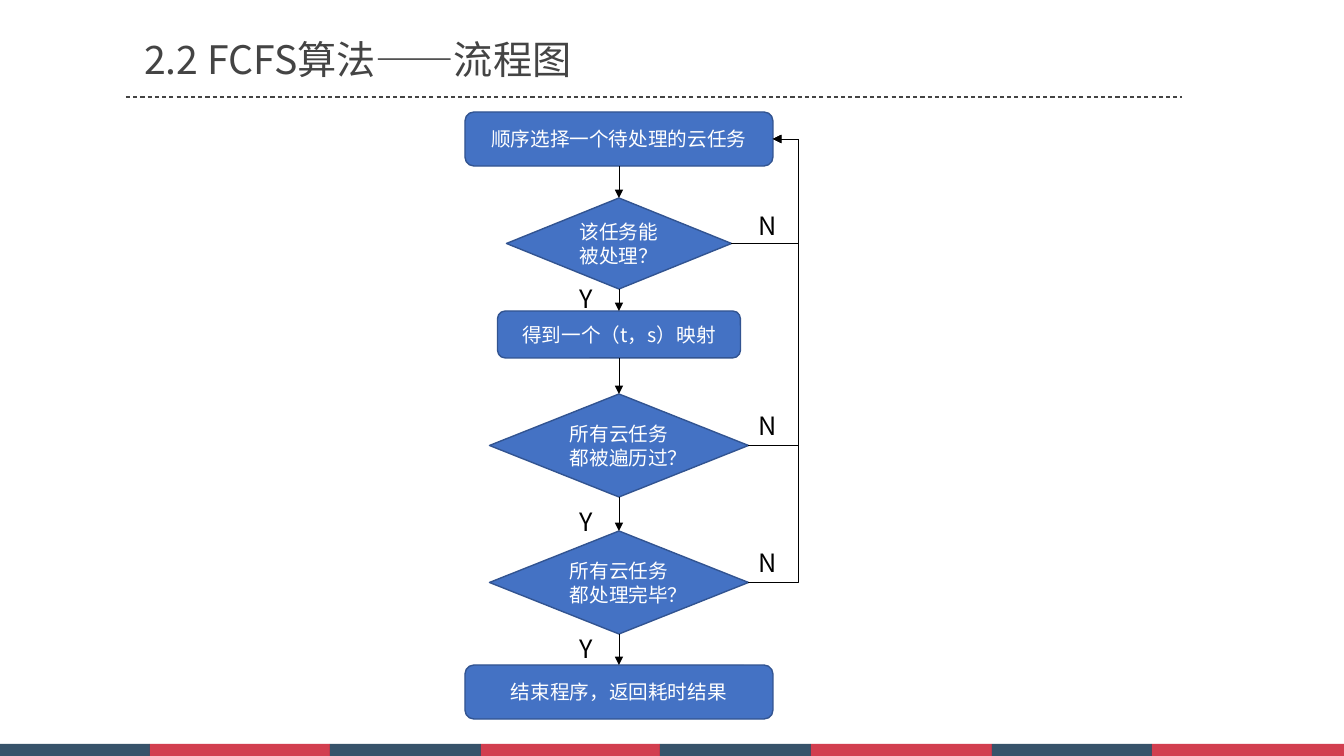
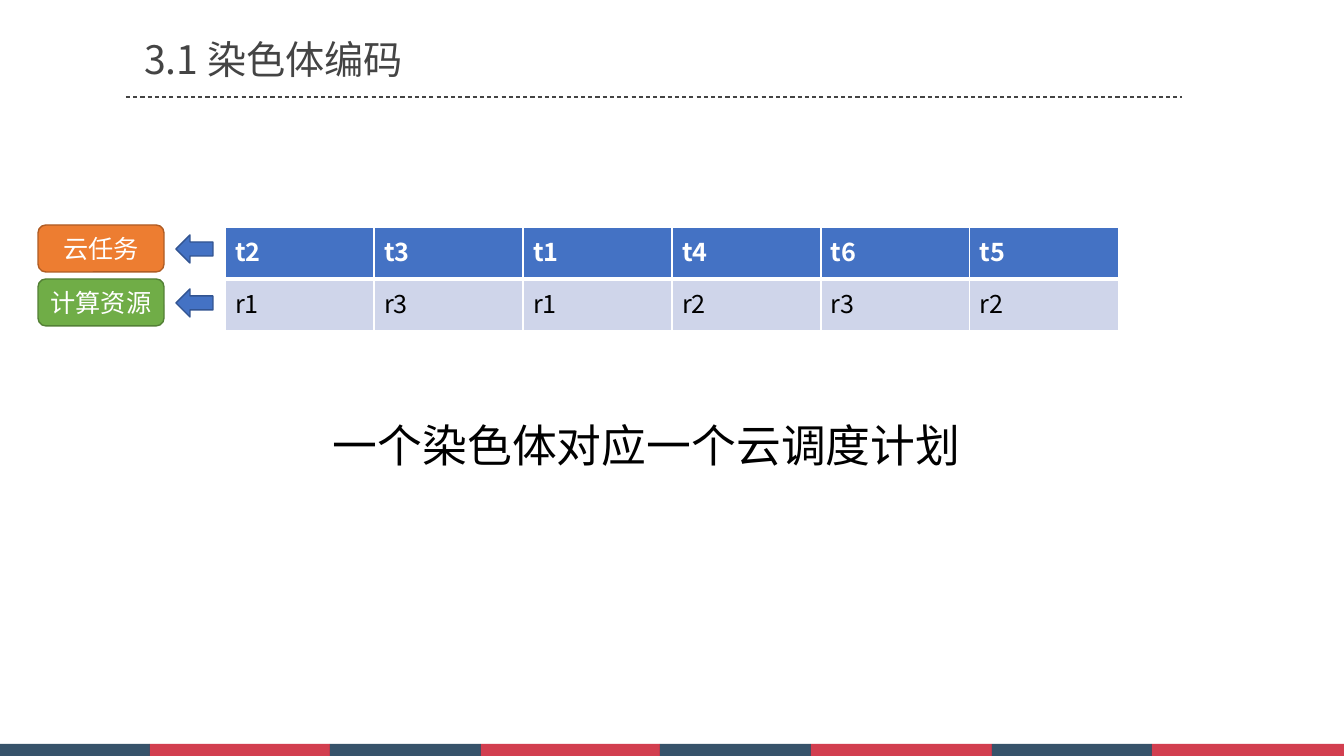
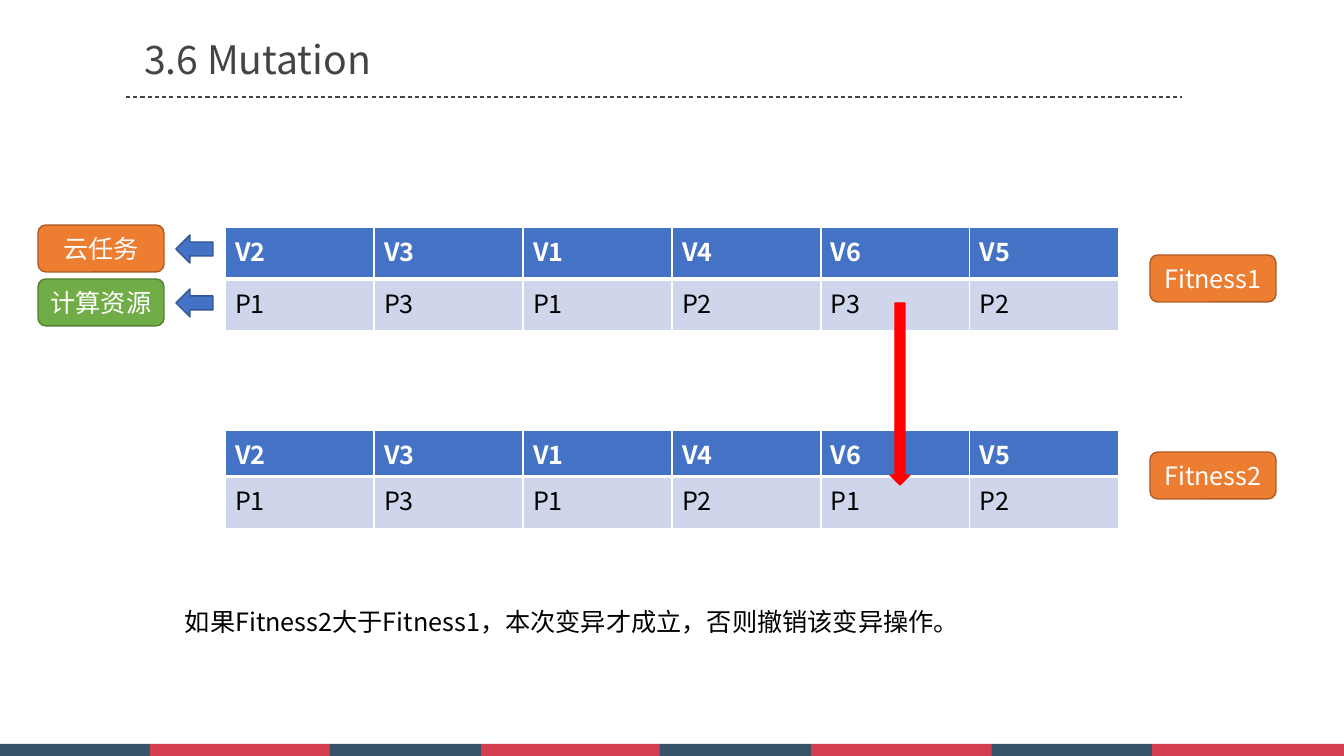
from dataclasses import dataclass
from typing import Any, NamedTuple, Optional

from lxml.etree import SubElement
from pptx import Presentation
from pptx.dml.color import RGBColor
from pptx.enum.dml import MSO_LINE_DASH_STYLE as Dash
from pptx.enum.shapes import MSO_CONNECTOR as Link, MSO_SHAPE as Preset
from pptx.enum.text import MSO_ANCHOR as Anchor, MSO_AUTO_SIZE as AutoSize, PP_ALIGN as Align
from pptx.oxml.ns import qn
from pptx.shapes.autoshape import Shape
from pptx.shapes.connector import Connector
from pptx.slide import Slide, SlideLayout
from pptx.table import _Cell as Cell
from pptx.text.text import TextFrame
from pptx.util import Emu, Pt

PX_PER_INCH = 100.8
TOP, LEFT, BOTTOM, RIGHT = range(4)


def px(length: int) -> Emu:
    return Emu(round(length * 914400 / PX_PER_INCH))


class Box(NamedTuple):
    left: int
    top: int
    width: int
    height: int

    def emu(self) -> list[Emu]:
        return [px(length) for length in self]


class Paint(NamedTuple):
    fill: str
    line: Optional[str] = None


class TextStyle(NamedTuple):
    size: int
    color: str
    bold: bool = False
    align: Align = Align.LEFT


@dataclass(frozen=True)
class Theme:
    font: str = "Noto Sans CJK SC"
    black: str = "000000"
    white: str = "FFFFFF"
    rule: str = "444444"
    row_fill: str = "CFD5EA"
    blue: Paint = Paint("4472C4", "325491")
    orange: Paint = Paint("ED7D31", "AF5C24")
    green: Paint = Paint("70AD47", "538035")
    red: Paint = Paint("FF0000", "FF0000")
    bands: tuple[Paint, Paint] = (Paint("062845"), Paint("C70E23"))
    band_opacity: int = 80
    title: TextStyle = TextStyle(28, "444444")
    statement: TextStyle = TextStyle(32, "000000")
    body: TextStyle = TextStyle(18, "000000")
    header: TextStyle = TextStyle(18, "FFFFFF", bold=True)
    pill: TextStyle = TextStyle(18, "FFFFFF", align=Align.CENTER)
    step: TextStyle = TextStyle(14, "FFFFFF", align=Align.CENTER)


THEME = Theme()

SLIDE_SIZE = (1344, 756)
BAND_EDGES = (0, 150, 330, 481, 660, 811, 992, 1152, 1344)
BAND_TOP = 744
TITLE_BOX = Box(144, 35, 540, 47)
RULE_X, RULE_Y = (126, 1182), 97

NO_MARGINS = {f"margin_{side}": 0 for side in ("left", "top", "right", "bottom")}
TITLE_FORMAT = {**NO_MARGINS, "word_wrap": True, "auto_size": AutoSize.NONE,
                "vertical_anchor": Anchor.TOP}
SHAPE_FORMAT = {"word_wrap": True, "vertical_anchor": Anchor.MIDDLE}


def set_format(target: Any, values: dict[str, Any]) -> None:
    for attribute, value in values.items():
        setattr(target, attribute, value)


def write_text(frame: TextFrame, text: str, style: TextStyle) -> None:
    paragraph = frame.paragraphs[0]
    paragraph.alignment = style.align
    run = paragraph.add_run()
    run.text = text
    set_format(run.font, {"name": THEME.font, "size": Pt(style.size), "bold": style.bold})
    run.font.color.rgb = RGBColor.from_string(style.color)
    SubElement(run._r.get_or_add_rPr(), qn("a:ea"), typeface=THEME.font)


def add_block(slide: Slide, preset: Preset, box: Box, paint: Paint) -> Shape:
    block = slide.shapes.add_shape(preset, *box.emu())
    block.shadow.inherit = False
    block.fill.solid()
    block.fill.fore_color.rgb = RGBColor.from_string(paint.fill)
    if paint.line:
        block.line.color.rgb = RGBColor.from_string(paint.line)
        block.line.width = Pt(1)
    else:
        block.line.fill.background()
    return block


def add_labelled(slide: Slide, preset: Preset, box: Box, paint: Paint,
                 text: str, style: TextStyle) -> Shape:
    block = add_block(slide, preset, box, paint)
    set_format(block.text_frame, SHAPE_FORMAT)
    write_text(block.text_frame, text, style)
    return block


def add_text(slide: Slide, box: Box, text: str, style: TextStyle) -> None:
    frame = slide.shapes.add_textbox(*box.emu()).text_frame
    frame.word_wrap = True
    write_text(frame, text, style)


def style_connector(line: Connector, color: str, width: float) -> None:
    line.line.color.rgb = RGBColor.from_string(color)
    line.line.width = Pt(width)
    SubElement(line.element.spPr, qn("a:effectLst"))


def join(slide: Slide, kind: Link, start: Shape, start_side: int,
         end: Shape, end_side: int) -> Connector:
    """Draw a thin arrow between the side midpoints of two shapes."""
    arrow = slide.shapes.add_connector(kind, 0, 0, 0, 0)
    arrow.begin_connect(start, start_side)
    arrow.end_connect(end, end_side)
    style_connector(arrow, THEME.black, 0.5)
    SubElement(arrow.get_or_add_ln(), qn("a:tailEnd"), type="triangle")
    return arrow


def route_over(elbow: Connector, rail: Emu) -> None:
    """Put the upright part of an elbow connector at the x position of the rail."""
    share = (rail - elbow.begin_x) / (elbow.end_x - elbow.begin_x)
    guides = next(elbow.element.iter(qn("a:avLst")))
    SubElement(guides, qn("a:gd"), name="adj1", fmla=f"val {round(share * 100000)}")


def add_shared_parts(slide: Slide, layout: SlideLayout) -> None:
    """Draw the bands and title rule once and hand them to the layout."""
    for placeholder in list(layout.placeholders)[1:]:
        placeholder.element.getparent().remove(placeholder.element)
    parts = []
    for i, (left, right) in enumerate(zip(BAND_EDGES, BAND_EDGES[1:])):
        box = Box(left, BAND_TOP, right - left, SLIDE_SIZE[1] - BAND_TOP)
        band = add_block(slide, Preset.RECTANGLE, box, THEME.bands[i % 2])
        tint = next(band.element.spPr.iter(qn("a:srgbClr")))
        SubElement(tint, qn("a:alpha"), val=str(THEME.band_opacity * 1000))
        parts.append(band)
    rule = slide.shapes.add_connector(Link.STRAIGHT, px(RULE_X[0]), px(RULE_Y),
                                      px(RULE_X[1]), px(RULE_Y))
    style_connector(rule, THEME.rule, 0.75)
    rule.line.dash_style = Dash.DASH
    for part in [*parts, rule]:
        layout.shapes.element.append(part.element)


def write_title(slide: Slide, text: str) -> None:
    title = slide.shapes.title
    set_format(title, dict(zip(("left", "top", "width", "height"), TITLE_BOX.emu())))
    set_format(title.text_frame, TITLE_FORMAT)
    write_text(title.text_frame, text, THEME.title)


# Flow chart

@dataclass(frozen=True)
class Step:
    text: str
    top: int
    width: int
    height: int
    no_top: Optional[int] = None
    yes_top: Optional[int] = None

    @property
    def is_decision(self) -> bool:
        return self.no_top is not None


FLOW_CENTER, RAIL_X = 619, 798
NO_LEFT, YES_LEFT = 749, 570
ANSWER_SIZE = (32, 40)
STEPS = (
    Step("顺序选择一个待处理的云任务", 112, 308, 54),
    Step("该任务能被处理？", 198, 225, 91, no_top=205, yes_top=278),
    Step("得到一个（t，s）映射", 311, 243, 47),
    Step("所有云任务都被遍历过？", 394, 259, 103, no_top=405, yes_top=501),
    Step("所有云任务都处理完毕？", 531, 259, 103, no_top=542, yes_top=628),
    Step("结束程序，返回耗时结果", 665, 308, 54),
)


def add_step(slide: Slide, step: Step) -> Shape:
    preset = Preset.DIAMOND if step.is_decision else Preset.ROUNDED_RECTANGLE
    box = Box(FLOW_CENTER - step.width // 2, step.top, step.width, step.height)
    block = add_labelled(slide, preset, box, THEME.blue, step.text, THEME.step)
    block.left = px(FLOW_CENTER) - block.width // 2
    return block


def draw_flow_chart(slide: Slide) -> None:
    blocks = [add_step(slide, step) for step in STEPS]
    for upper, lower in zip(blocks, blocks[1:]):
        join(slide, Link.STRAIGHT, upper, BOTTOM, lower, TOP)
    for step, block in zip(STEPS, blocks):
        if step.is_decision:
            back = join(slide, Link.ELBOW, block, RIGHT, blocks[0], RIGHT)
            route_over(back, px(RAIL_X))
            add_text(slide, Box(NO_LEFT, step.no_top, *ANSWER_SIZE), "N", THEME.body)
            add_text(slide, Box(YES_LEFT, step.yes_top, *ANSWER_SIZE), "Y", THEME.body)


# Chromosome tables

TABLE_LEFT, COLUMN_WIDTH, ROW_HEIGHT = 225, 149, 52
FIRST_TABLE_TOP, SECOND_TABLE_TOP, LOW_HEADER = 227, 430, 40
PILL_SIZE = (126, 47)
ROW_LABELS = (("云任务", 225, THEME.orange), ("计算资源", 279, THEME.green))
FITNESS_LABELS = (("Fitness1", 255), ("Fitness2", 452))


def set_borders(cell: Cell, widths: dict[str, int]) -> None:
    properties = cell._tc.get_or_add_tcPr()
    for position, (side, width) in enumerate(widths.items()):
        border = SubElement(properties, qn(f"a:ln{side}"), w=str(Pt(width)))
        paint = SubElement(border, qn("a:solidFill"))
        SubElement(paint, qn("a:srgbClr"), val=THEME.white)
        properties.insert(position, border)


def add_chromosome(slide: Slide, top: int, tasks: str, resources: str,
                   header_height: int = ROW_HEIGHT) -> None:
    rows = (
        (tasks.split(), header_height, THEME.blue.fill, THEME.header,
         {"L": 1, "R": 1, "T": 1, "B": 3}),
        (resources.split(), ROW_HEIGHT, THEME.row_fill, THEME.body,
         {"L": 1, "R": 1, "T": 3, "B": 1}),
    )
    count = len(rows[0][0])
    box = Box(TABLE_LEFT, top, COLUMN_WIDTH * count, header_height + ROW_HEIGHT)
    table = slide.shapes.add_table(len(rows), count, *box.emu()).table
    for column in table.columns:
        column.width = px(COLUMN_WIDTH)
    for r, (genes, height, fill, style, borders) in enumerate(rows):
        table.rows[r].height = px(height)
        for c, gene in enumerate(genes):
            cell = table.cell(r, c)
            cell.fill.solid()
            cell.fill.fore_color.rgb = RGBColor.from_string(fill)
            set_borders(cell, borders)
            write_text(cell.text_frame, gene, style)


def add_pill(slide: Slide, left: int, top: int, text: str, paint: Paint) -> None:
    add_labelled(slide, Preset.ROUNDED_RECTANGLE, Box(left, top, *PILL_SIZE),
                 paint, text, THEME.pill)


def add_row_labels(slide: Slide) -> None:
    for text, top, paint in ROW_LABELS:
        add_pill(slide, 38, top, text, paint)
        add_block(slide, Preset.LEFT_ARROW, Box(176, top + 10, 37, 28), THEME.blue)


def draw_encoding(slide: Slide) -> None:
    add_chromosome(slide, FIRST_TABLE_TOP, "t2 t3 t1 t4 t6 t5", "r1 r3 r1 r2 r3 r2")
    add_row_labels(slide)
    add_text(slide, Box(323, 413, 699, 64), "一个染色体对应一个云调度计划", THEME.statement)


def draw_mutation(slide: Slide) -> None:
    tasks = "V2 V3 V1 V4 V6 V5"
    add_chromosome(slide, FIRST_TABLE_TOP, tasks, "P1 P3 P1 P2 P3 P2")
    add_row_labels(slide)
    add_chromosome(slide, SECOND_TABLE_TOP, tasks, "P1 P3 P1 P2 P1 P2", LOW_HEADER)
    add_block(slide, Preset.DOWN_ARROW, Box(890, 303, 20, 182), THEME.red)
    for text, top in FITNESS_LABELS:
        add_pill(slide, 1150, top, text, THEME.orange)
    add_text(slide, Box(175, 601, 984, 40),
             "如果Fitness2大于Fitness1，本次变异才成立，否则撤销该变异操作。", THEME.body)


PAGES = (
    ("2.2 FCFS算法——流程图", draw_flow_chart),
    ("3.1 染色体编码", draw_encoding),
    ("3.6 Mutation", draw_mutation),
)


def main() -> None:
    deck = Presentation()
    deck.slide_width, deck.slide_height = map(px, SLIDE_SIZE)
    title_only = deck.slide_layouts[5]
    for number, (title, draw) in enumerate(PAGES):
        slide = deck.slides.add_slide(title_only)
        if number == 0:
            add_shared_parts(slide, title_only)
        write_title(slide, title)
        draw(slide)
    deck.save("out.pptx")


if __name__ == "__main__":
    main()
